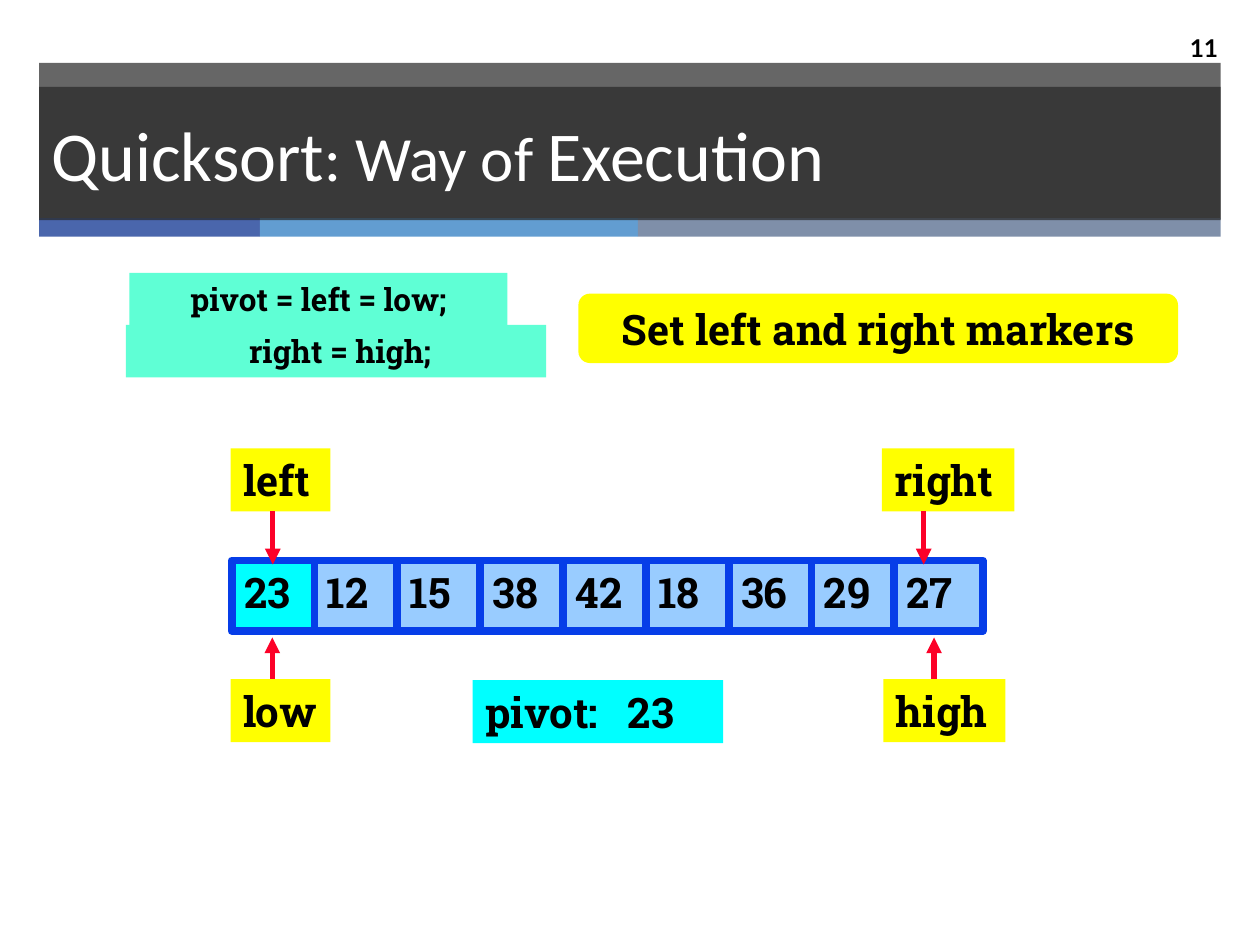
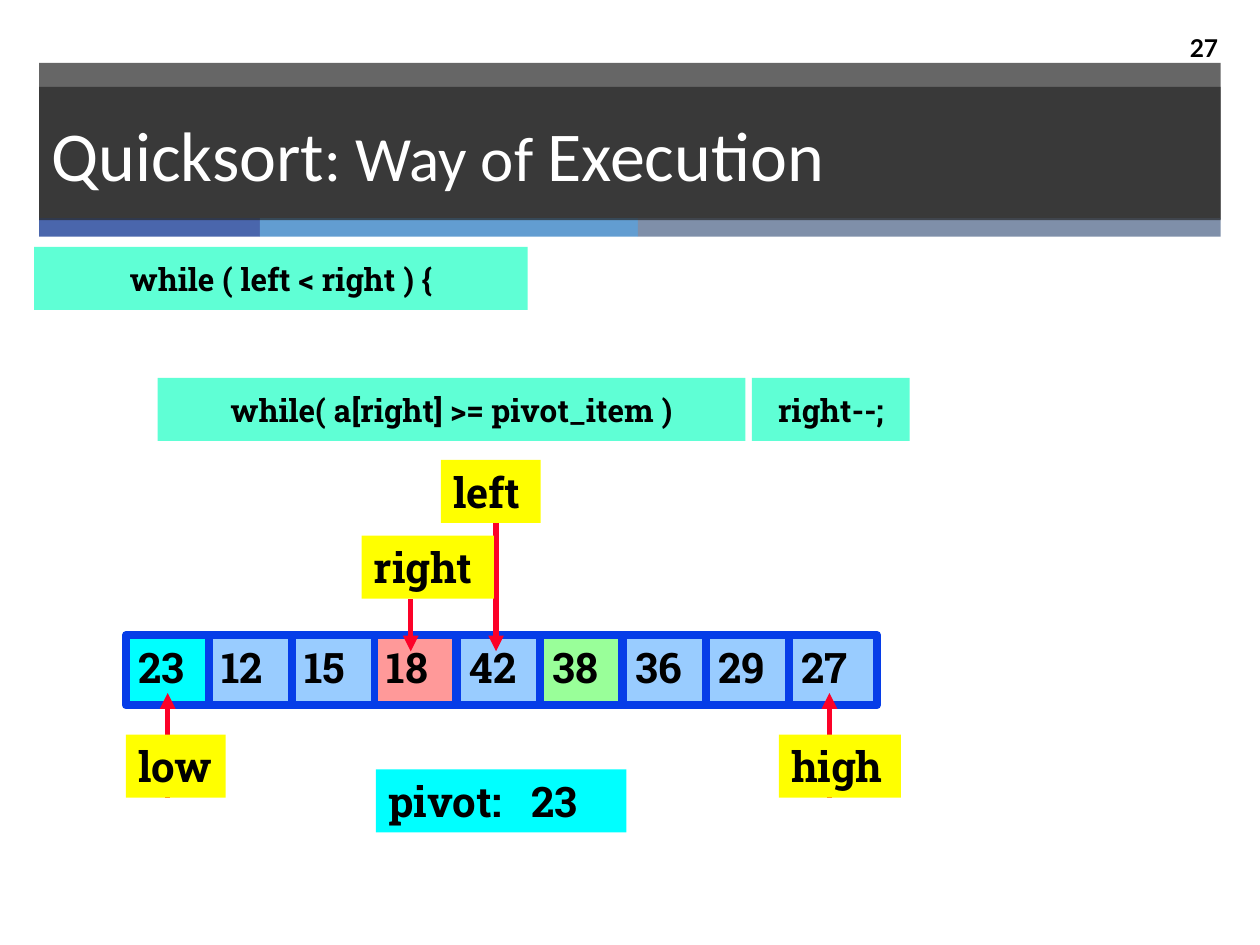
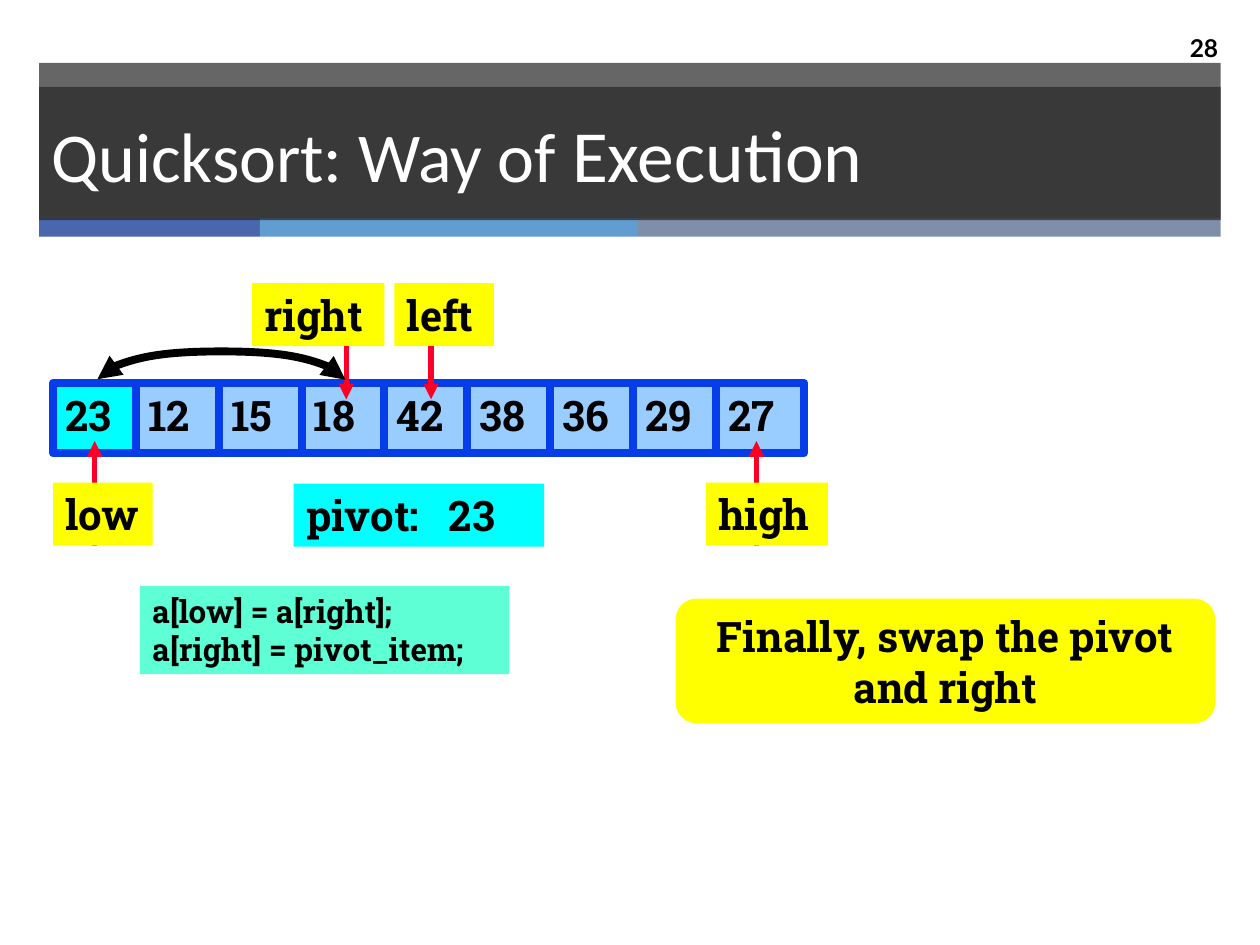
from lxml import etree
from pptx import Presentation
from pptx.dml.color import RGBColor as RGB
from pptx.enum.shapes import MSO_CONNECTOR as CONN, MSO_SHAPE as SHAPE
from pptx.enum.text import MSO_ANCHOR as ANCHOR, MSO_AUTO_SIZE as FIT, PP_ALIGN as ALIGN
from pptx.oxml.ns import qn
from pptx.util import Cm, Pt

BLACK = RGB(0x00, 0x00, 0x00)
WHITE = RGB(0xFF, 0xFF, 0xFF)
DARK = RGB(0x26, 0x26, 0x26)
STRIPES = [(4.45, RGB(0x4A, 0x66, 0xAC)), (7.62, RGB(0x62, 0x9D, 0xD1)),
           (11.75, RGB(0x7F, 0x8F, 0xA9))]
YELLOW = RGB(0xFF, 0xFF, 0x00)
CYAN = RGB(0x00, 0xFF, 0xFF)
MINT = RGB(0x5F, 0xFF, 0xD5)
SKY = RGB(0x99, 0xCC, 0xFF)
PINK = RGB(0xFF, 0x99, 0x99)
GREEN = RGB(0x99, 0xFF, 0x99)
BLUE = RGB(0x06, 0x3D, 0xE8)
RED = RGB(0xFC, 0x01, 0x28)

TITLE = {"name": "Calibri", "size": Pt(40)}
NUMBER = {"name": "Lato", "size": Pt(14), "bold": True}
BIG = {"name": "Roboto Slab", "size": Pt(24), "bold": True}
CODE = {**BIG, "size": Pt(18)}

GROW = {"word_wrap": False, "auto_size": FIT.SHAPE_TO_FIT_TEXT,
        "vertical_anchor": ANCHOR.TOP}
FIXED = {"word_wrap": False, "auto_size": FIT.NONE,
         "vertical_anchor": ANCHOR.MIDDLE}
WRAPPED = {**FIXED, "word_wrap": True}

BAND_X, BAND_W = 0.79, 23.82
CELL_W, CELL_H, PITCH = 1.78, 1.42, 1.67
LABEL_H = 1.27
LABEL_W = {"left": 2.01, "low": 2.01, "high": 2.46, "right": 2.67}


def apply(obj, fmt):
    for name, value in fmt.items():
        setattr(obj, name, value)


def add_run(p, text, font, color=BLACK):
    r = p.add_run()
    r.text = text
    apply(r.font, font)
    r.font.color.rgb = color


def write(sp, lines, font, frame, align=ALIGN.LEFT):
    tf = sp.text_frame
    apply(tf, frame)
    for i, line in enumerate(lines):
        p = tf.add_paragraph() if i else tf.paragraphs[0]
        p.alignment = align
        add_run(p, line, font)


def box(s, x, y, w, h, fill, kind=SHAPE.RECTANGLE):
    sp = s.shapes.add_shape(kind, Cm(x), Cm(y), Cm(w), Cm(h))
    sp.shadow.inherit = False
    sp.fill.solid()
    sp.fill.fore_color.rgb = fill
    sp.line.fill.background()
    return sp


def dark_band(s, y, h):
    sp = box(s, BAND_X, y, BAND_W, h, DARK)
    clr = sp._element.spPr.find(qn("a:solidFill"))[0]
    etree.SubElement(clr, qn("a:alpha"), val="70000")
    return sp


def header(s, number, title):
    dark_band(s, 1.27, 3.15)
    x = BAND_X
    for w, color in STRIPES:
        box(s, x, 4.4, w, 0.37, color)
        x += w
    sp = s.shapes.add_textbox(Cm(23.06), Cm(0.46), Cm(1.75), Cm(0.99))
    write(sp, [number], NUMBER, WRAPPED, ALIGN.RIGHT)
    sp = dark_band(s, 1.75, 2.69)
    apply(sp.text_frame, WRAPPED)
    p = sp.text_frame.paragraphs[0]
    p.alignment = ALIGN.LEFT
    for text, size in title:
        add_run(p, text, {**TITLE, "size": Pt(size)}, WHITE)


def code(s, text, x, y, w, h=LABEL_H):
    write(box(s, x, y, w, h, MINT), [text], CODE, FIXED, ALIGN.CENTER)


def callout(s, lines, x, y, w, h):
    sp = box(s, x, y, w, h, YELLOW, SHAPE.ROUNDED_RECTANGLE)
    write(sp, lines, BIG, GROW, ALIGN.CENTER)


def label(s, text, x, y):
    write(box(s, x, y, LABEL_W[text], LABEL_H, YELLOW), [text], BIG, GROW)


def pivot(s, x, y):
    sp = box(s, x, y, 5.05, LABEL_H, CYAN)
    write(sp, ["pivot:\t23"], BIG, GROW)
    tabs = etree.SubElement(sp.text_frame.paragraphs[0]._p.get_or_add_pPr(), qn("a:tabLst"))
    etree.SubElement(tabs, qn("a:tab"), pos=str(Cm(2.88)), algn="l")


def arrow(s, x1, y1, x2, y2, color=RED, width=3, kind=CONN.STRAIGHT, ends=("a:headEnd",)):
    c = s.shapes.add_connector(kind, Cm(x1), Cm(y1), Cm(x2), Cm(y2))
    c.line.color.rgb = color
    c.line.width = Pt(width)
    for end in ends:
        etree.SubElement(c.line._get_or_add_ln(), qn(end), type="triangle")
    etree.SubElement(c._element.spPr, qn("a:effectLst"))
    return c


def swap_arc(s, x, y, span, rise):
    thin = 0.01
    c = arrow(s, x, y + span / 2, x + thin, y - span / 2, BLACK, 4.5,
              CONN.CURVE, ("a:headEnd", "a:tailEnd"))
    sp_pr = c._element.spPr
    sp_pr.find(qn("a:xfrm")).set("rot", "5400000")
    guides = sp_pr.find(qn("a:prstGeom")).find(qn("a:avLst"))
    etree.SubElement(guides, qn("a:gd"), name="adj1",
                     fmla=f"val {round(-rise / thin * 100000)}")


def array(s, x, y, values, marked=None):
    marked = marked or {}
    for i, value in enumerate(values):
        fill = CYAN if i == 0 else marked.get(i, SKY)
        w = 1.65 if i in marked else CELL_W
        sp = box(s, x + i * PITCH, y, w, CELL_H, fill)
        sp.line.color.rgb = BLUE
        sp.line.width = Pt(4.5)
        write(sp, [str(value)], BIG, GROW)


def bounds(s, x, tip_y):
    for text, dx, tip_dx in [("low", 0, 0.84), ("high", 13.16, 14.18)]:
        arrow(s, x + tip_dx, tip_y, x + tip_dx, tip_y + 2.11)
        label(s, text, x + dx, tip_y + 0.84)


def pointer(s, text, x, y, tip_x, tip_y):
    label(s, text, x, y)
    arrow(s, tip_x, tip_y, tip_x, y + LABEL_H)


def markers_slide(s):
    code(s, " right = high;", 2.54, 6.55, 8.47, 1.06)
    code(s, "pivot = left = low;", 2.61, 5.5, 7.62, 1.06)
    callout(s, ["Set left and right markers"], 11.66, 5.92, 12.09, 1.4)
    array(s, 4.67, 11.3, [23, 12, 15, 38, 42, 18, 36, 29, 27])
    bounds(s, 4.65, 12.85)
    pivot(s, 9.53, 13.71)
    pointer(s, "left", 4.65, 9.04, 5.5, 11.38)
    pointer(s, "right", 17.78, 9.04, 18.62, 11.38)


def scan_slide(s):
    array(s, 2.54, 12.8, [23, 12, 15, 18, 42, 38, 36, 29, 27], {3: PINK, 5: GREEN})
    bounds(s, 2.54, 13.97)
    pivot(s, 7.58, 15.51)
    pointer(s, "left", 8.89, 9.27, 10, 13.13)
    pointer(s, "right", 7.29, 10.8, 8.28, 13.13)
    code(s, "right--;", 15.16, 7.62, 3.18)
    code(s, "while( a[right] >= pivot_item )", 3.18, 7.62, 11.85)
    code(s, "while ( left < right ) {", 0.69, 4.98, 9.95)


def swap_slide(s):
    sp = box(s, 2.82, 11.81, 7.45, 1.78, MINT)
    write(sp, ["a[low] = a[right];", "a[right] = pivot_item;"], CODE,
          {**GROW, "vertical_anchor": ANCHOR.MIDDLE})
    callout(s, ["Finally, swap the pivot", "and right"], 13.62, 12.07, 10.88, 2.51)
    array(s, 1.07, 7.72, [23, 12, 15, 18, 42, 38, 36, 29, 27])
    bounds(s, 1.07, 8.89)
    pivot(s, 5.92, 9.75)
    pointer(s, "left", 7.95, 5.71, 8.69, 8.05)
    pointer(s, "right", 5.08, 5.71, 6.98, 8.05)
    swap_arc(s, 4.46, 7.65, 5, 0.56)


def main():
    prs = Presentation()
    prs.slide_width, prs.slide_height = Cm(25.4), Cm(19.05)
    mixed = [("Quicksort", 40), (": Way of ", 36), ("Execution", 40)]
    plain = [("Quicksort: Way of ", 40), ("Execution", 42)]
    for number, title, fill_slide in [("11", mixed, markers_slide),
                                      ("27", mixed, scan_slide),
                                      ("28", plain, swap_slide)]:
        s = prs.slides.add_slide(prs.slide_layouts[6])
        header(s, number, title)
        fill_slide(s)
    prs.save("out.pptx")


main()
